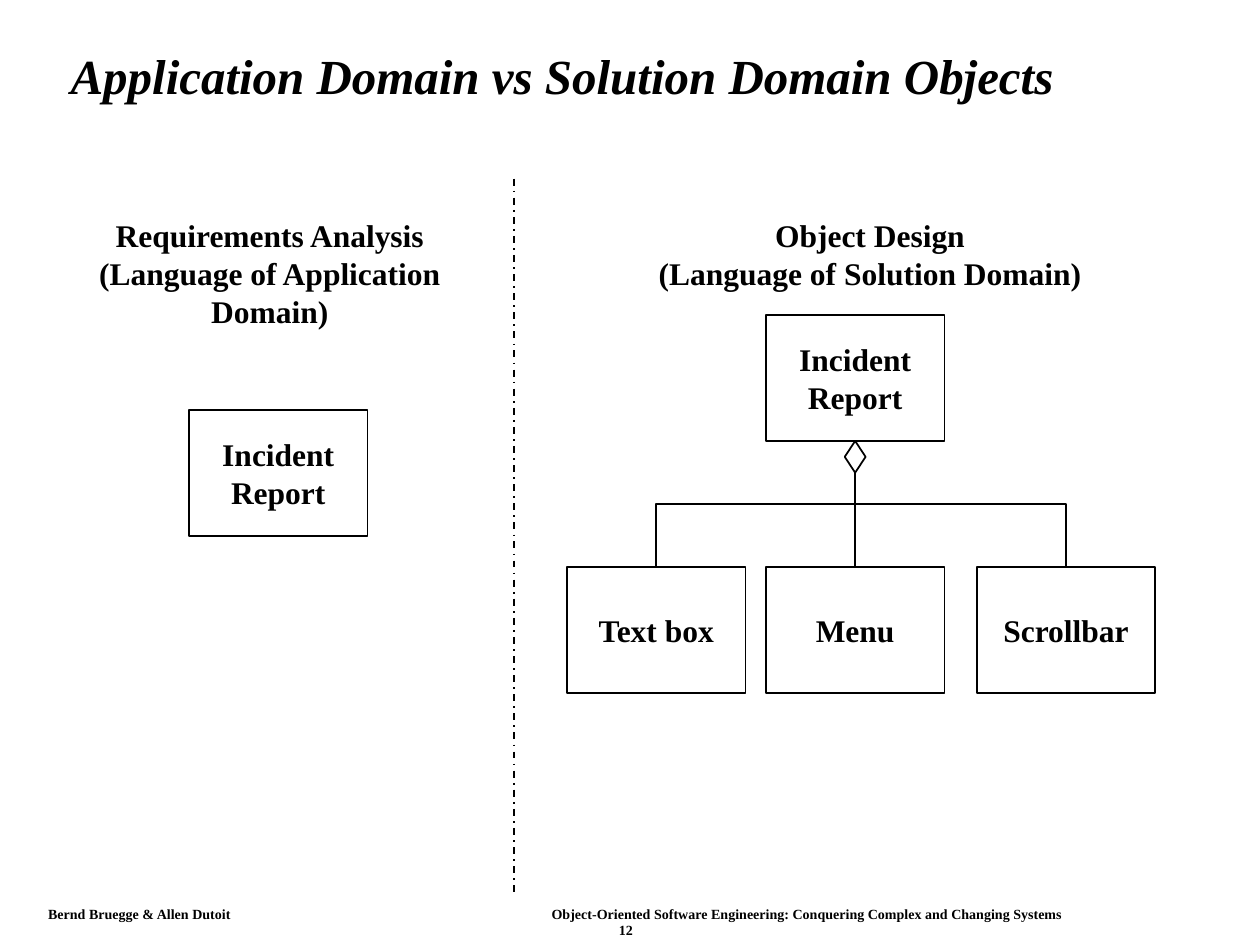
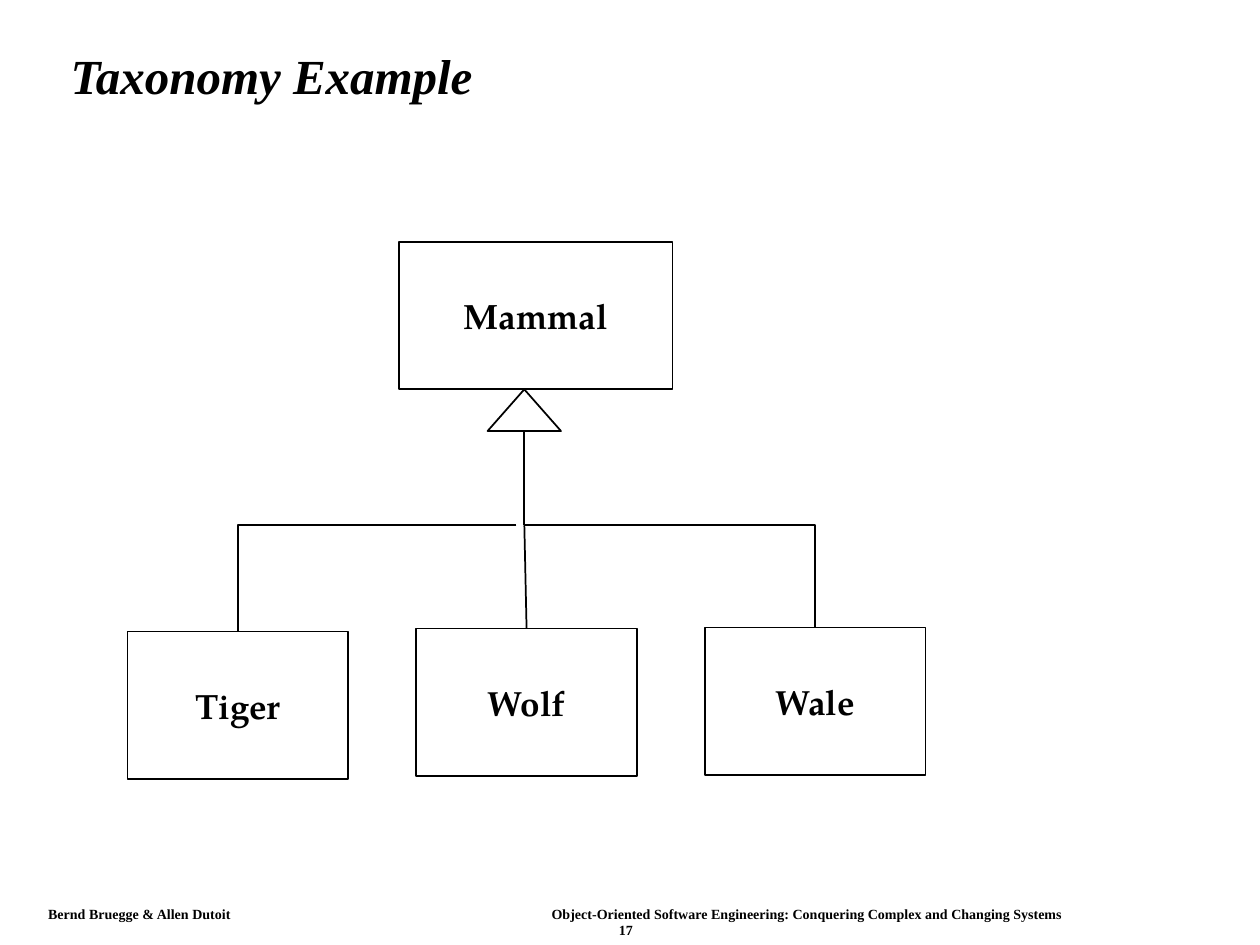
from pptx import Presentation
from pptx.dml.color import RGBColor
from pptx.enum.dml import MSO_LINE
from pptx.enum.shapes import MSO_CONNECTOR, MSO_SHAPE
from pptx.enum.text import MSO_ANCHOR, PP_ALIGN
from pptx.oxml.ns import qn
from pptx.util import Cm, Pt
from lxml import etree

RECT, KITE, PEAK = MSO_SHAPE.RECTANGLE, MSO_SHAPE.DIAMOND, MSO_SHAPE.ISOSCELES_TRIANGLE
LINE, ELBOW = MSO_CONNECTOR.STRAIGHT, MSO_CONNECTOR.ELBOW
DASH = MSO_LINE.DASH_DOT
LEFT, MID = PP_ALIGN.LEFT, PP_ALIGN.CENTER
CENTER = MSO_ANCHOR.MIDDLE
INK, PAPER = "000000", "FFFFFF"
SERIF, BOOK = "Times New Roman", "TeX Gyre Pagella"


def hue(code):
    """Turn a hex string into a colour."""
    return RGBColor.from_string(code)


def cms(*nums):
    """Turn numbers into centimetre lengths."""
    return [Cm(num) for num in nums]


def style(frame, size, face=SERIF, align=MID, slant=False):
    """Format every paragraph of a text frame."""
    for para in frame.paragraphs:
        para.alignment = align
        font = para.font
        font.name, font.size = face, Pt(size)
        font.bold, font.italic = True, slant
        font.color.rgb = hue(INK)


def label(slide, box, text, size=18, align=MID):
    """Add a free text box."""
    frame = slide.shapes.add_textbox(*cms(*box)).text_frame
    frame.word_wrap = False
    frame.text = text
    style(frame, size, align=align)


def shape(slide, kind, box, fill=PAPER):
    """Add an outlined shape."""
    item = slide.shapes.add_shape(kind, *cms(*box))
    item.shadow.inherit = False
    if fill:
        item.fill.solid()
        item.fill.fore_color.rgb = hue(fill)
    else:
        item.fill.background()
    item.line.color.rgb = hue(INK)
    item.line.width = Pt(1)
    return item


def node(slide, box, text, size=18, face=SERIF, fill=PAPER):
    """Add a class box with its name in the middle."""
    frame = shape(slide, RECT, box, fill).text_frame
    frame.word_wrap = False
    frame.vertical_anchor = CENTER
    frame.text = text
    style(frame, size, face)


def link(slide, kind, start, end):
    """Join two points with a thin black line."""
    line = slide.shapes.add_connector(kind, *cms(*start, *end))
    line.line.color.rgb = hue(INK)
    line.line.width = Pt(1)
    etree.SubElement(line.element.spPr, qn("a:effectLst"))
    return line


def fork(slide, start, end):
    """Run down, across and down again between two points."""
    (ax, ay), (bx, by) = start, end
    cx, cy = (ax + bx) / 2, (ay + by) / 2
    half, rise = (by - ay) / 2, abs(bx - ax) / 2
    turn = 90
    if bx > ax:
        half, turn = -half, 270
    line = link(slide, ELBOW, (cx - half, cy - rise), (cx + half, cy + rise))
    line.element.spPr.find(qn("a:xfrm")).set("rot", str(turn * 60000))


def bend(slide, start, end):
    """Run across, then down, with a single corner."""
    line = link(slide, ELBOW, start, end)
    line.element.spPr.find(qn("a:prstGeom")).set("prst", "bentConnector2")


def footer(slide, page, x=0.72, y=18.14):
    """Add the authors, the book title and the page number."""
    label(slide, (x, y, 5, 0.6), "Bernd Bruegge & Allen Dutoit", 8, LEFT)
    label(slide, (x + 10.15, y, 10.9, 0.6),
          "Object-Oriented Software Engineering: "
          "Conquering Complex and Changing Systems", 8, LEFT)
    label(slide, (x + 10.9, y + 0.32, 2, 0.6), page, 8)


def base(deck, title, page):
    """Start a slide with its title and footer."""
    slide = deck.slides.add_slide(deck.slide_layouts[5])
    head = slide.shapes.title
    head.left, head.top, head.width, head.height = cms(1.17, 0.61, 22.66, 1.96)
    frame = head.text_frame
    frame.text = title
    frame.vertical_anchor = CENTER
    style(frame, 28, align=LEFT, slant=True)
    frame.paragraphs[0].line_spacing = 0.9
    footer(slide, page)
    return slide


def parts(slide, box, names):
    """Draw a whole with its parts below, joined by a diamond."""
    x, y, wide, high = box
    node(slide, (x, y, wide, high), "Incident\nReport")
    mid, foot, low = x + wide / 2, y + high, y + 2 * high
    for shift, name in zip((-4.01, 0, 4.25), names):
        node(slide, (x + shift, low, wide, high), name)
        if shift:
            fork(slide, (mid, foot), (mid + shift, low))
        else:
            link(slide, LINE, (mid, foot), (mid, low))
    shape(slide, KITE, (mid - 0.21, foot, 0.42, 0.64))


def domains(deck):
    """Build the slide that sets analysis beside design."""
    slide = base(deck, "Application Domain vs Solution Domain Objects", "12")
    node(slide, (3.81, 8.26, 3.6, 2.54), "Incident\nReport")
    label(slide, (1.73, 4.24, 7.42, 2.54),
          "Requirements Analysis\n(Language of Application\nDomain)")
    label(slide, (13.03, 4.24, 9.02, 1.78),
          "Object Design\n(Language of Solution Domain)")
    link(slide, LINE, (10.37, 3.6), (10.37, 17.98)).line.dash_style = DASH
    parts(slide, (15.44, 6.35, 3.6, 2.54), ("Text box", "Menu", "Scrollbar"))


def kinds(slide, box, names):
    """Draw a parent class with its subclasses below."""
    x, y, wide, high = box
    node(slide, box, "Mammal", 20, BOOK, None)
    foot, bar, kid = y + high, y + 5.71, 4.45
    trunk = x + 2.52
    shape(slide, PEAK, (trunk - 0.74, foot, 1.48, 0.84))
    mids, tops = [], []
    for i, (name, drop) in enumerate(zip(names, (7.85, 7.79, 7.77))):
        left, top = x - 5.48 + i * 5.82, y + drop
        node(slide, (left, top, kid, high), name, 20, BOOK, None)
        mids.append(left + kid / 2)
        tops.append(top)
    ends = list(zip(mids, tops))
    link(slide, LINE, (trunk, foot + 0.84), (trunk, bar))
    link(slide, LINE, (trunk, bar), ends[1])
    bend(slide, (trunk - 0.16, bar), ends[0])
    bend(slide, (trunk, bar), ends[2])


def taxon(deck):
    """Build the taxonomy slide."""
    slide = base(deck, "Taxonomy Example", "17")
    kinds(slide, (8.05, 4.88, 5.51, 2.97), ("Tiger", "Wolf", "Wale"))


def main():
    """Build and save the deck."""
    deck = Presentation()
    deck.slide_width, deck.slide_height = cms(25.4, 19.05)
    domains(deck)
    taxon(deck)
    deck.save("out.pptx")


if __name__ == "__main__":
    main()
